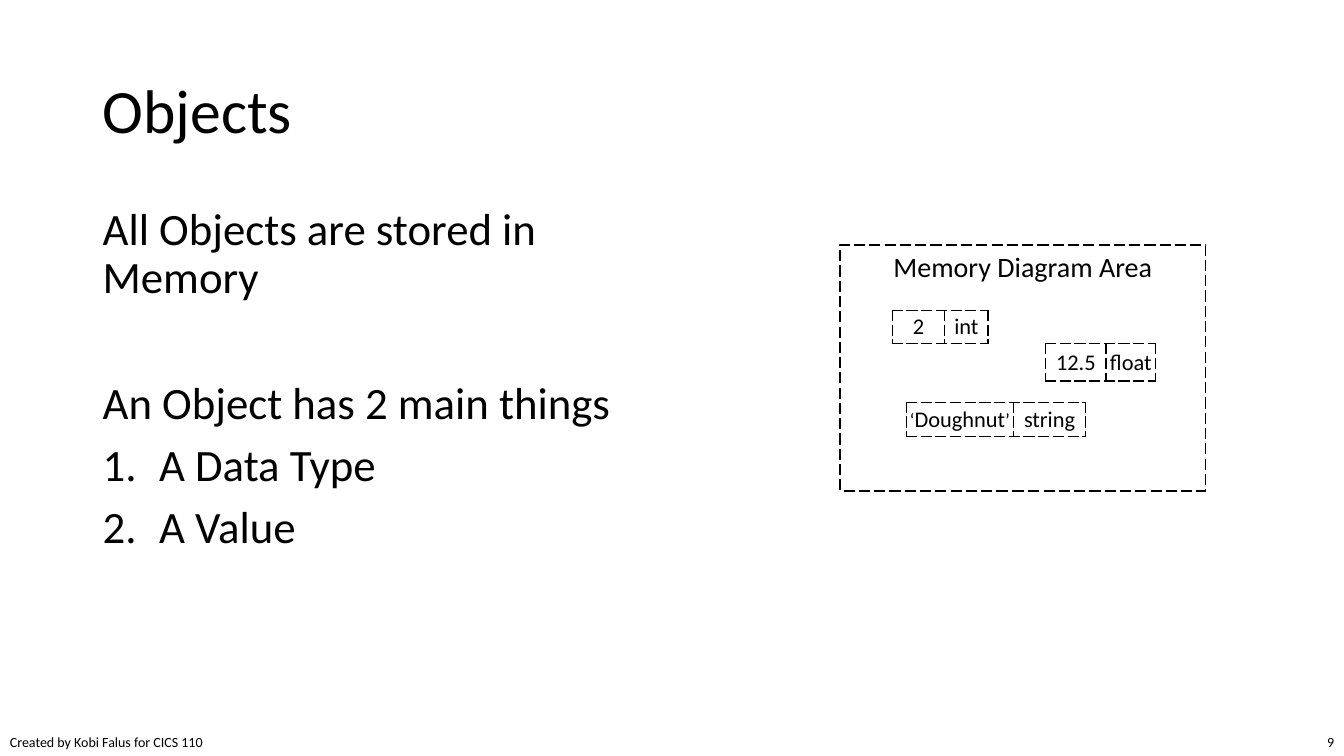
from lxml.etree import SubElement
from pptx import Presentation
from pptx.dml.color import RGBColor
from pptx.enum.dml import MSO_LINE
from pptx.enum.shapes import MSO_SHAPE
from pptx.enum.text import MSO_ANCHOR, PP_ALIGN
from pptx.oxml.ns import qn
from pptx.util import Inches, Pt

FONT = "Calibri"
BLACK, WHITE = "000000", "FFFFFF"
WIDTH, HEIGHT = 13.33, 7.5


def rgb(value):
    return RGBColor.from_string(value)


def inches(*lengths):
    return [Inches(length) for length in lengths]


def add_run(p, text, size):
    r = p.add_run()
    r.text = text
    r.font.size = Pt(size)
    r.font.name = FONT
    r.font.color.rgb = rgb(BLACK)


def add_text(slide, box, text, size, align=PP_ALIGN.LEFT, wrap=True):
    tf = slide.shapes.add_textbox(*inches(*box)).text_frame
    tf.word_wrap = wrap
    p = tf.paragraphs[0]
    p.alignment = align
    add_run(p, text, size)
    return tf


def add_title(slide, box, text):
    tf = add_text(slide, box, text, 44)
    tf.vertical_anchor = MSO_ANCHOR.MIDDLE
    tf.paragraphs[0].line_spacing = 0.9


def number_paragraph(p):
    pPr = p._p.get_or_add_pPr()
    pPr.set("marL", str(Inches(0.56)))
    pPr.set("indent", str(-Inches(0.56)))
    SubElement(pPr, qn("a:buFont"), typeface="+mj-lt")
    SubElement(pPr, qn("a:buAutoNum"), type="arabicPeriod")


def add_body(slide, box, paragraphs):
    """Each paragraph is (text, space before in points, numbered)."""
    tf = slide.shapes.add_textbox(*inches(*box)).text_frame
    tf.word_wrap = True
    for i, (text, space, numbered) in enumerate(paragraphs):
        p = tf.add_paragraph() if i else tf.paragraphs[0]
        if numbered:
            number_paragraph(p)
        p.line_spacing = 0.9
        p.space_before = Pt(space)
        add_run(p, text, 32)


def dash_borders(cell):
    tcPr = cell._tc.get_or_add_tcPr()
    for side in ("lnL", "lnR", "lnT", "lnB"):
        ln = SubElement(tcPr, qn(f"a:{side}"), w=str(Pt(1)))
        fill = SubElement(ln, qn("a:solidFill"))
        SubElement(fill, qn("a:srgbClr"), val=BLACK)
        SubElement(ln, qn("a:prstDash"), val="lgDash")


def add_object(slide, left, top, widths, height, cells):
    """A memory object: value and type side by side, each a list of runs."""
    frame = slide.shapes.add_table(1, 2, *inches(left, top, sum(widths), height))
    table = frame.table
    table.first_row = table.horz_banding = False
    table.rows[0].height = Inches(height)
    for i, (width, runs) in enumerate(zip(widths, cells)):
        table.columns[i].width = Inches(width)
        cell = table.cell(0, i)
        cell.margin_left = cell.margin_right = 0
        cell.margin_top = cell.margin_bottom = 0
        cell.vertical_anchor = MSO_ANCHOR.MIDDLE
        dash_borders(cell)
        cell.fill.background()
        p = cell.text_frame.paragraphs[0]
        p.alignment = PP_ALIGN.CENTER
        for text, size in runs:
            add_run(p, text, size)


def add_memory_diagram(slide, box, objects):
    left, top = box[:2]
    sp = slide.shapes.add_shape(MSO_SHAPE.RECTANGLE, *inches(*box))
    sp.shadow.inherit = False
    sp.fill.solid()
    sp.fill.fore_color.rgb = rgb(WHITE)
    sp.line.color.rgb = rgb(BLACK)
    sp.line.width = Pt(1)
    sp.line.dash_style = MSO_LINE.LONG_DASH
    tf = sp.text_frame
    tf.vertical_anchor = MSO_ANCHOR.TOP
    p = tf.paragraphs[0]
    p.alignment = PP_ALIGN.CENTER
    add_run(p, "Memory Diagram Area", 20)
    for dx, dy, widths, height, cells in objects:
        add_object(slide, left + dx, top + dy, widths, height, cells)


def add_footer(slide, box, credit, number):
    left, top, width, height = box
    number_width = 0.55
    add_text(slide, (left, top, 2.15, height), credit, 10, wrap=False)
    add_text(slide, (left + width - number_width, top, number_width, height),
             number, 10, PP_ALIGN.RIGHT)


def main():
    prs = Presentation()
    prs.slide_width, prs.slide_height = inches(WIDTH, HEIGHT)
    slide = prs.slides.add_slide(prs.slide_layouts[6])

    # Footer, title and body text
    add_footer(slide, (0, HEIGHT - 0.27, WIDTH, 0.27),
               "Created by Kobi Falus for CICS 110", "9")
    add_title(slide, (0.92, 0.4, 11.5, 1.45), "Objects")
    add_body(slide, (0.92, 2, 6.04, 4.76), [
        ("All Objects are stored in Memory", 0, False),
        ("An Object has 2 main things", 55, False),
        ("A Data Type", 10, True),
        ("A Value", 10, True),
    ])

    # Memory area: offset in the area, column widths, height, value and type
    add_memory_diagram(slide, (8.33, 2.43, 3.63, 2.44), [
        (0.52, 0.65, (0.52, 0.43), 0.33, ([("2", 16)], [("int", 16)])),
        (2.04, 0.98, (0.6, 0.49), 0.37, ([("12.5", 16)], [("float", 16)])),
        (0.66, 1.56, (1.06, 0.72), 0.34,
         ([("‘", 14), ("Doughnut", 16), ("’", 14)], [("string", 16)])),
    ])
    prs.save("out.pptx")


if __name__ == "__main__":
    main()
